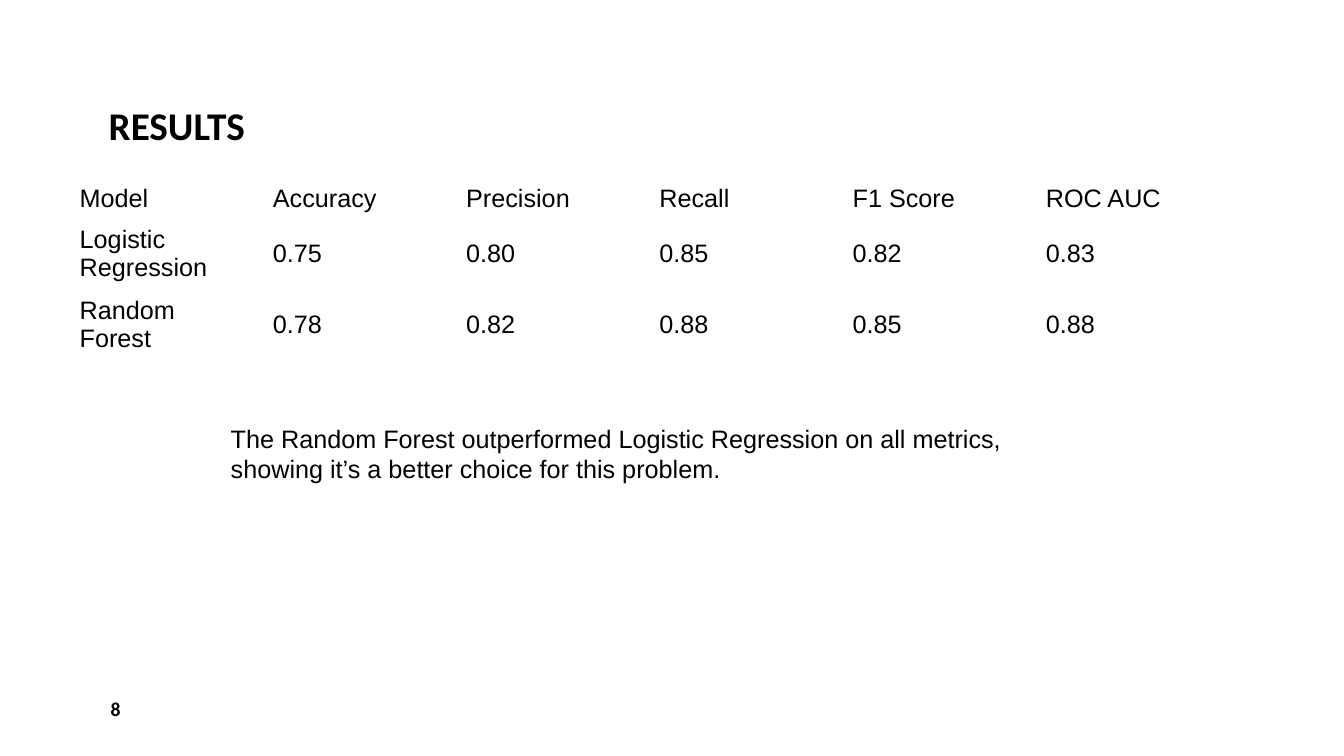
from pptx import Presentation
from pptx.dml.color import RGBColor
from pptx.enum.text import MSO_ANCHOR
from pptx.util import Inches, Pt

TOP, MIDDLE, BOTTOM = MSO_ANCHOR.TOP, MSO_ANCHOR.MIDDLE, MSO_ANCHOR.BOTTOM
COLORS = {"text": "000000", "background": "FFFFFF"}
HEADING_FONT, BODY_FONT = "Calibri", "Arial"

METRICS = [
    ["Model", "Accuracy", "Precision", "Recall", "F1 Score", "ROC AUC"],
    ["Logistic Regression", "0.75", "0.80", "0.85", "0.82", "0.83"],
    ["Random Forest", "0.78", "0.82", "0.88", "0.85", "0.88"],
]
ROW_HEIGHTS = [5.13, 8.87, 8.87]


class SlideBuilder:
    """Places styled elements; lengths are percentages of the slide's size."""

    def __init__(self, prs):
        self.width, self.height = prs.slide_width, prs.slide_height
        self.slide = prs.slides.add_slide(prs.slide_layouts[6])
        fill = self.slide.background.fill
        fill.solid()
        fill.fore_color.rgb = RGBColor.from_string(COLORS["background"])

    def x(self, percent):
        return round(self.width * percent / 100)

    def y(self, percent):
        return round(self.height * percent / 100)

    def box(self, left, top, width, height):
        return self.x(left), self.y(top), self.x(width), self.y(height)

    def set_text(self, tf, text, size, font, bold):
        tf.text = text
        tf.word_wrap = True
        for r in tf.paragraphs[0].runs:
            r.font.size = Pt(size)
            r.font.name = font
            r.font.bold = bold
            r.font.color.rgb = RGBColor.from_string(COLORS["text"])

    def text(self, text, area, size=18, font=BODY_FONT, bold=False,
             anchor=TOP, spacing=1.0):
        tf = self.slide.shapes.add_textbox(*self.box(*area)).text_frame
        self.set_text(tf, text, size, font, bold)
        tf.vertical_anchor = anchor
        tf.paragraphs[0].line_spacing = spacing

    def table(self, rows, left, top, width, row_heights):
        area = self.box(left, top, width, sum(row_heights))
        table = self.slide.shapes.add_table(len(rows), len(rows[0]), *area).table
        table.first_row = table.horz_banding = False
        for row, height, values in zip(table.rows, row_heights, rows):
            row.height = self.y(height)
            for cell, value in zip(row.cells, values):
                cell.fill.background()
                cell.vertical_anchor = MIDDLE
                self.set_text(cell.text_frame, value, 18, BODY_FONT, False)


def main():
    prs = Presentation()
    prs.slide_width, prs.slide_height = Inches(13.33), Inches(7.5)
    s = SlideBuilder(prs)
    s.text("RESULTS", (7.35, 1.07, 85.37, 19.33), 28, HEADING_FONT, True,
           BOTTOM, 0.9)
    s.text("8", (7.5, 91.07, 21.9, 5.33), 14, HEADING_FONT, True, MIDDLE)
    s.table(METRICS, 5.18, 23.6, 86.27, ROW_HEIGHTS)
    s.text("The Random Forest outperformed Logistic Regression on all metrics, "
           "showing it’s a better choice for this problem.",
           (16.43, 55.33, 63.54, 9.47))
    prs.save("out.pptx")


if __name__ == "__main__":
    main()
